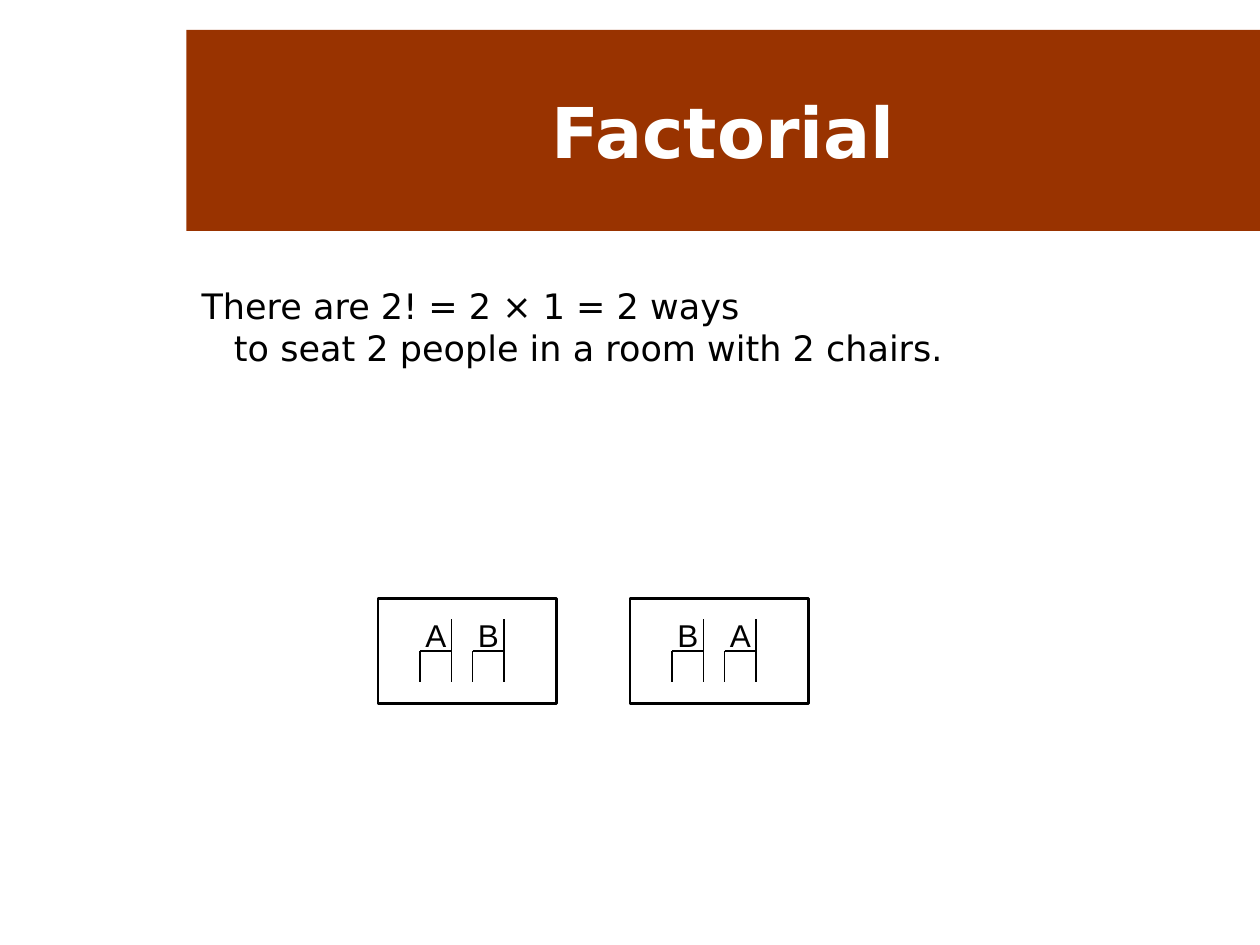
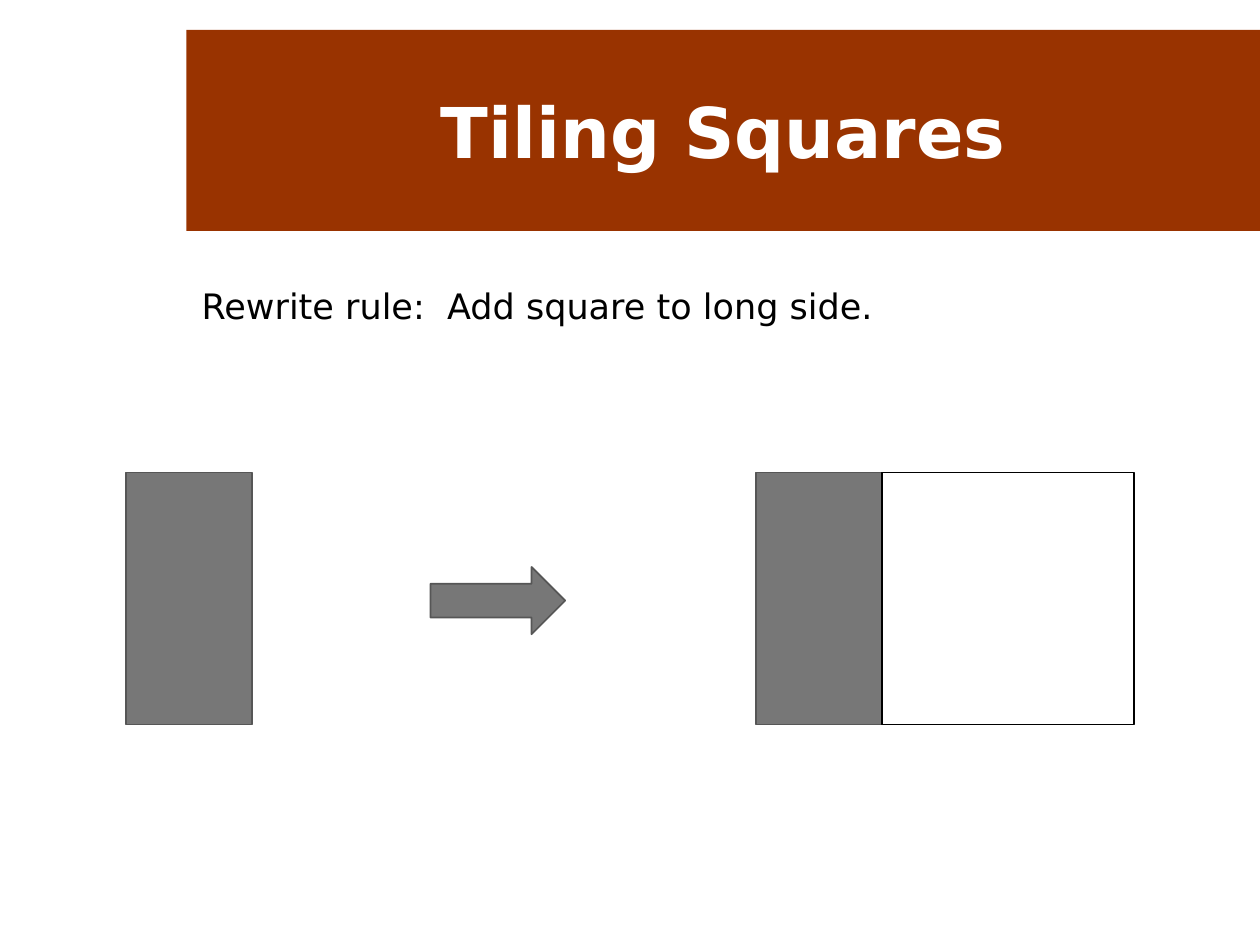
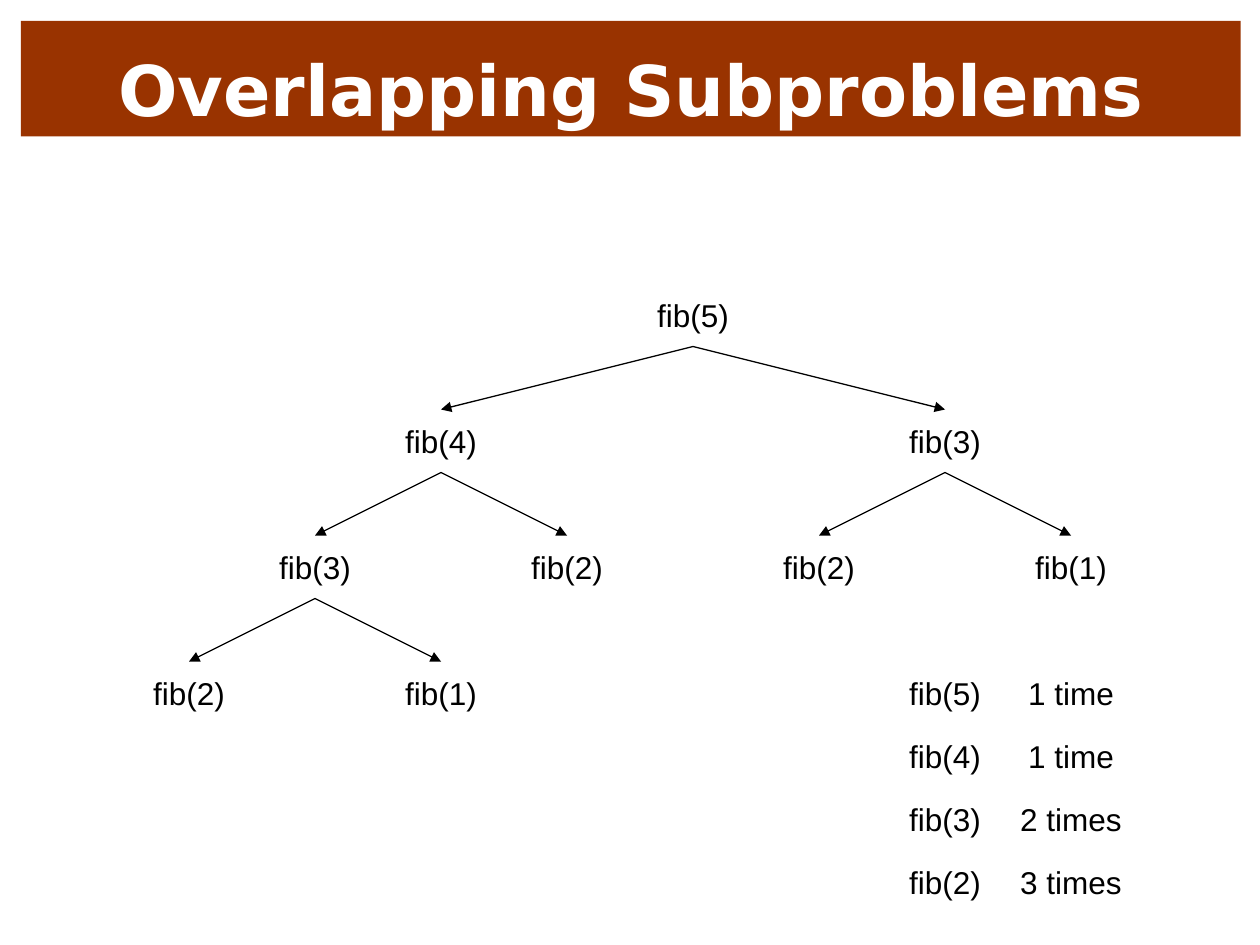
from lxml.etree import SubElement
from pptx import Presentation
from pptx.dml.color import RGBColor
from pptx.enum.shapes import MSO_CONNECTOR, MSO_SHAPE
from pptx.enum.text import MSO_ANCHOR, MSO_AUTO_SIZE, PP_ALIGN
from pptx.oxml.ns import qn
from pptx.util import Pt

# Shared style
RUST = RGBColor(0x99, 0x33, 0x00)
WHITE = RGBColor(0xFF, 0xFF, 0xFF)
BLACK = RGBColor(0x00, 0x00, 0x00)
GREY = RGBColor(0x77, 0x77, 0x77)
DARK_GREY = RGBColor(0x56, 0x56, 0x56)
HEADING_FONT, LABEL_FONT = "DejaVu Sans", "Arial"
WIDE_BAND = (106.5, 17, 613.5, 115)
SLIM_BAND = (12, 12, 697, 66)
BODY_AREA = (108, 159, 612, 324)
HANGING_INDENT = Pt(18.5)
TITLE_AND_BODY, TITLE_ONLY = 1, 5

# Content
SEATING_TITLE = "Factorial"
SEATING_TEXT = "There are 2! = 2 × 1 = 2 ways\vto seat 2 people in a room with 2 chairs."
SEATINGS = ["AB", "BA"]

TILING_TITLE = "Tiling Squares"
TILING_TEXT = "Rewrite rule:  Add square to long side."
START_LEFT, RESULT_LEFT, TILE_TOP = 72, 432, 270
TILE_WIDTH, LONG_SIDE = 72, 144

CALLS_TITLE = "Overlapping Subproblems"
ROOT_CALL = 5
SPREADS = [144, 72, 72]  # sideways step from a call to its children, by level
CALL_COUNTS = [(5, "1 time"), (4, "1 time"), (3, "2 times"), (2, "3 times")]
LABEL_WIDTH, LABEL_HEIGHT = 72, 36


def points(*lengths):
    return [Pt(length) for length in lengths]


def place(shape, area):
    shape.left, shape.top, shape.width, shape.height = points(*area)


def format_runs(paragraph, font, size, color, bold=False):
    for run in paragraph.runs:
        run.font.name, run.font.size, run.font.bold = font, Pt(size), bold
        run.font.color.rgb = color


def start_slide(deck, layout, title, band=WIDE_BAND, anchor=MSO_ANCHOR.MIDDLE):
    slide = deck.slides.add_slide(deck.slide_layouts[layout])
    heading = slide.shapes.title
    place(heading, band)
    heading.fill.solid()
    heading.fill.fore_color.rgb = RUST
    frame = heading.text_frame
    frame.text = title
    frame.auto_size, frame.vertical_anchor = MSO_AUTO_SIZE.NONE, anchor
    frame.paragraphs[0].alignment = PP_ALIGN.CENTER
    format_runs(frame.paragraphs[0], HEADING_FONT, 40, WHITE, bold=True)
    return slide


def fill_body(slide, text):
    body = slide.placeholders[1]
    place(body, BODY_AREA)
    frame = body.text_frame
    frame.text = text
    frame.auto_size = MSO_AUTO_SIZE.NONE
    paragraph = frame.paragraphs[0]
    paragraph.space_before = Pt(0)
    # Hanging indent without a bullet
    properties = paragraph._p.get_or_add_pPr()
    properties.set("marL", str(HANGING_INDENT))
    properties.set("indent", str(-HANGING_INDENT))
    SubElement(properties, qn("a:buNone"))
    format_runs(paragraph, HEADING_FONT, 20, BLACK)


def add_label(slide, text, area):
    frame = slide.shapes.add_textbox(*points(*area)).text_frame
    frame.text = text
    frame.word_wrap, frame.vertical_anchor = False, MSO_ANCHOR.MIDDLE
    # No side margins, so the text fits inside its box
    frame.margin_left = frame.margin_right = Pt(0)
    frame.paragraphs[0].alignment = PP_ALIGN.CENTER
    format_runs(frame.paragraphs[0], LABEL_FONT, 18, BLACK)


def add_block(slide, area, fill=None, line=BLACK, width=0.75, preset=MSO_SHAPE.RECTANGLE):
    block = slide.shapes.add_shape(preset, *points(*area))
    block.shadow.inherit = False
    if fill is None:
        block.fill.background()
    else:
        block.fill.solid()
        block.fill.fore_color.rgb = fill
    block.line.color.rgb, block.line.width = line, Pt(width)


def add_line(slide, start, end, arrow=False):
    line = slide.shapes.add_connector(MSO_CONNECTOR.STRAIGHT, *points(*start, *end))
    line.line.color.rgb, line.line.width = BLACK, Pt(0.75)
    if arrow:
        SubElement(line.line._get_or_add_ln(), qn("a:tailEnd"), type="triangle")
    SubElement(line._element.spPr, qn("a:effectLst"))


def add_chair(slide, person, left):
    right, top, seat, floor = left + 18, 354, 372, 390
    add_line(slide, (left, seat), (right, seat))
    add_line(slide, (right, top), (right, floor))
    add_line(slide, (left, seat), (left, floor))
    add_label(slide, person, (left, top, 18, 18))


def add_call(slide, n, center, top, level=0):
    """Draw fib(n) and, below it, the calls it makes."""
    add_label(slide, f"fib({n})", (center - LABEL_WIDTH / 2, top, LABEL_WIDTH, LABEL_HEIGHT))
    if n <= 2:
        return
    bottom, child_top = top + LABEL_HEIGHT, top + 2 * LABEL_HEIGHT
    for child, side in ((n - 1, -1), (n - 2, 1)):
        child_center = center + side * SPREADS[level]
        add_line(slide, (center, bottom), (child_center, child_top), arrow=True)
        add_call(slide, child, child_center, child_top, level + 1)


def build_seating(deck):
    slide = start_slide(deck, TITLE_AND_BODY, SEATING_TITLE)
    fill_body(slide, SEATING_TEXT)
    for room, people in enumerate(SEATINGS):
        room_left = 216 + 144 * room
        add_block(slide, (room_left, 342, 102, 60), width=1.5)
        for seat, person in enumerate(people):
            add_chair(slide, person, room_left + 24 + 30 * seat)


def build_tiling(deck):
    slide = start_slide(deck, TITLE_AND_BODY, TILING_TITLE)
    fill_body(slide, TILING_TEXT)
    add_block(slide, (246, 324, 77, 38.4), GREY, DARK_GREY, 1, MSO_SHAPE.RIGHT_ARROW)
    for left in (START_LEFT, RESULT_LEFT):
        add_block(slide, (left, TILE_TOP, TILE_WIDTH, LONG_SIDE), GREY, DARK_GREY, 1)
    add_block(slide, (RESULT_LEFT + TILE_WIDTH, TILE_TOP, LONG_SIDE, LONG_SIDE))


def build_calls(deck):
    slide = start_slide(deck, TITLE_ONLY, CALLS_TITLE, SLIM_BAND, MSO_ANCHOR.BOTTOM)
    add_call(slide, ROOT_CALL, center=396, top=162)
    # Tally of calls
    for row, (n, count) in enumerate(CALL_COUNTS):
        for column, text in enumerate((f"fib({n})", count)):
            add_label(slide, text, (504 + LABEL_WIDTH * column, 378 + LABEL_HEIGHT * row,
                                    LABEL_WIDTH, LABEL_HEIGHT))


def main():
    deck = Presentation()
    deck.slide_width, deck.slide_height = points(720, 540)
    build_seating(deck)
    build_tiling(deck)
    build_calls(deck)
    deck.save("out.pptx")


if __name__ == "__main__":
    main()
